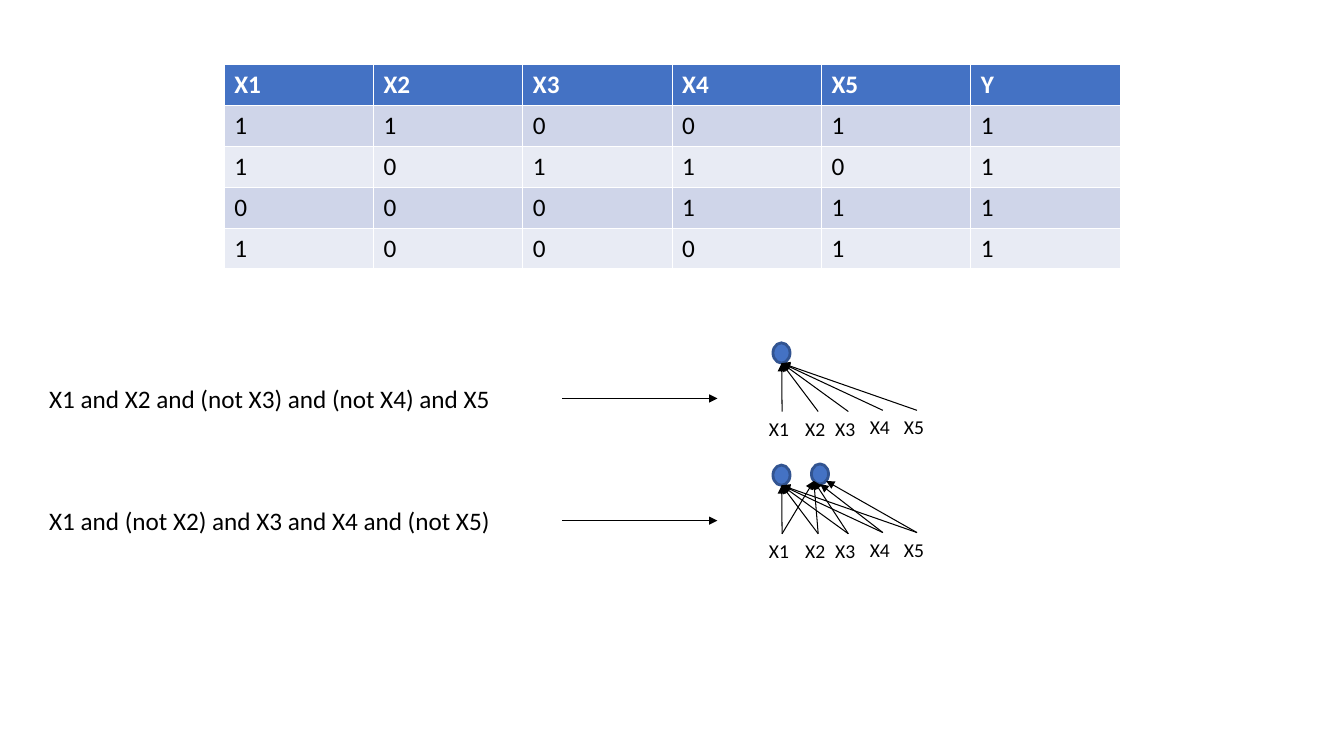
import pptx
import pptx.util
import pptx.dml.color
import pptx.enum.shapes
import pptx.oxml
import pptx.oxml.ns

Cm = pptx.util.Cm
Pt = pptx.util.Pt
RGBColor = pptx.dml.color.RGBColor

BLACK = RGBColor(0x00, 0x00, 0x00)
WHITE = RGBColor(0xFF, 0xFF, 0xFF)
BLUE = RGBColor(0x44, 0x72, 0xC4)
DARK_BLUE = RGBColor(0x32, 0x54, 0x91)
BAND_DARK = RGBColor(0xCF, 0xD5, 0xE9)
BAND_LIGHT = RGBColor(0xE8, 0xEB, 0xF4)

SENTENCE = {"name": "Calibri", "size": Pt(18), "bold": False}
HEADER = {"name": "Calibri", "size": Pt(18), "bold": True}
LABEL = {"name": "Calibri", "size": Pt(14), "bold": False}

TRUTH_TABLE = [
    ["X1", "X2", "X3", "X4", "X5", "Y"],
    [1, 1, 0, 0, 1, 1],
    [1, 0, 1, 1, 0, 1],
    [0, 0, 0, 1, 1, 1],
    [1, 0, 0, 0, 1, 1],
]

# Input label positions inside a rule row, in cm
INPUTS = [("X1", 18.14, 1.73), ("X2", 19.05, 1.73), ("X3", 19.81, 1.73),
          ("X4", 20.68, 1.7), ("X5", 21.54, 1.7)]
LABEL_CENTRE = 0.58

# Points on a neuron's outline, measured from its top left corner, in cm
NEURON_WIDTH, NEURON_HEIGHT = 0.43, 0.51
BOTTOM_LEFT, BOTTOM, BOTTOM_RIGHT = (0.06, 0.43), (0.22, 0.51), (0.37, 0.43)

# Each neuron: left, top, and where the arrow from each input lands
FIRST_NEURON = (18.49, 0, [BOTTOM] * 5)
SECOND_NEURON = (19.46, -0.03, [BOTTOM_LEFT] * 3 + [BOTTOM, BOTTOM_RIGHT])

RULES = [
    ("X1 and X2 and (not X3) and (not X4) and X5", [FIRST_NEURON]),
    ("X1 and (not X2) and X3 and X4 and (not X5)",
     [FIRST_NEURON, SECOND_NEURON]),
]


def write(frame, text, style, color):
    span = frame.paragraphs[0].add_run()
    span.text = text
    for name, value in style.items():
        setattr(span.font, name, value)
    span.font.color.rgb = color


def add_text(page, text, left, top, width, height, style):
    box = page.shapes.add_textbox(Cm(left), Cm(top), Cm(width), Cm(height))
    box.text_frame.word_wrap = True
    write(box.text_frame, text, style, BLACK)


def add_arrow(page, start, end):
    arrow = page.shapes.add_connector(
        pptx.enum.shapes.MSO_CONNECTOR.STRAIGHT,
        *(Cm(length) for length in (*start, *end)))
    arrow.line.color.rgb = BLACK
    arrow.line.width = Pt(0.75)
    namespace = pptx.oxml.ns.nsdecls("a")
    arrow.line._get_or_add_ln().append(
        pptx.oxml.parse_xml(f'<a:tailEnd {namespace} type="triangle"/>'))
    arrow._element.spPr.append(
        pptx.oxml.parse_xml(f"<a:effectLst {namespace}/>"))


def add_truth_table(page, left, top, width, height):
    columns = len(TRUTH_TABLE[0])
    table = page.shapes.add_table(
        len(TRUTH_TABLE), columns,
        Cm(left), Cm(top), Cm(width), Cm(height)).table
    for row, values in enumerate(TRUTH_TABLE):
        band = BAND_DARK if row % 2 else BAND_LIGHT
        for column, value in enumerate(values):
            cell = table.cell(row, column)
            cell.fill.solid()
            cell.fill.fore_color.rgb = band if row else BLUE
            write(cell.text_frame, str(value), SENTENCE if row else HEADER,
                  BLACK if row else WHITE)


def add_neuron(page, left, top):
    neuron = page.shapes.add_shape(
        pptx.enum.shapes.MSO_SHAPE.OVAL,
        Cm(left), Cm(top), Cm(NEURON_WIDTH), Cm(NEURON_HEIGHT))
    neuron.shadow.inherit = False
    neuron.fill.solid()
    neuron.fill.fore_color.rgb = BLUE
    neuron.line.color.rgb = DARK_BLUE
    neuron.line.width = Pt(2)


def add_rule(page, left, top, sentence, neurons):
    # Logical rule and the arrow to its network
    add_text(page, sentence, left, top + 0.89, 14.58, 1.02, SENTENCE)
    add_arrow(page, (left + 13.18, top + 1.4), (left + 17.09, top + 1.4))

    # Input labels
    for text, x, y in INPUTS:
        add_text(page, text, left + x, top + y, 1.14, 0.84, LABEL)

    # Neurons, each fed by every input
    for neuron_x, neuron_y, landings in neurons:
        neuron_left, neuron_top = left + neuron_x, top + neuron_y
        add_neuron(page, neuron_left, neuron_top)
        for (text, x, y), (tip_x, tip_y) in zip(INPUTS, landings):
            add_arrow(page, (left + x + LABEL_CENTRE, top + y),
                      (neuron_left + tip_x, neuron_top + tip_y))


def main():
    deck = pptx.Presentation()
    deck.slide_width, deck.slide_height = Cm(33.87), Cm(19.05)
    page = deck.slides.add_slide(deck.slide_layouts[6])
    add_truth_table(page, 5.65, 1.63, 22.58, 5.15)
    for index, (sentence, neurons) in enumerate(RULES):
        add_rule(page, 0.99, 8.64 + 3.08 * index, sentence, neurons)
    deck.save("out.pptx")


if __name__ == "__main__":
    main()
